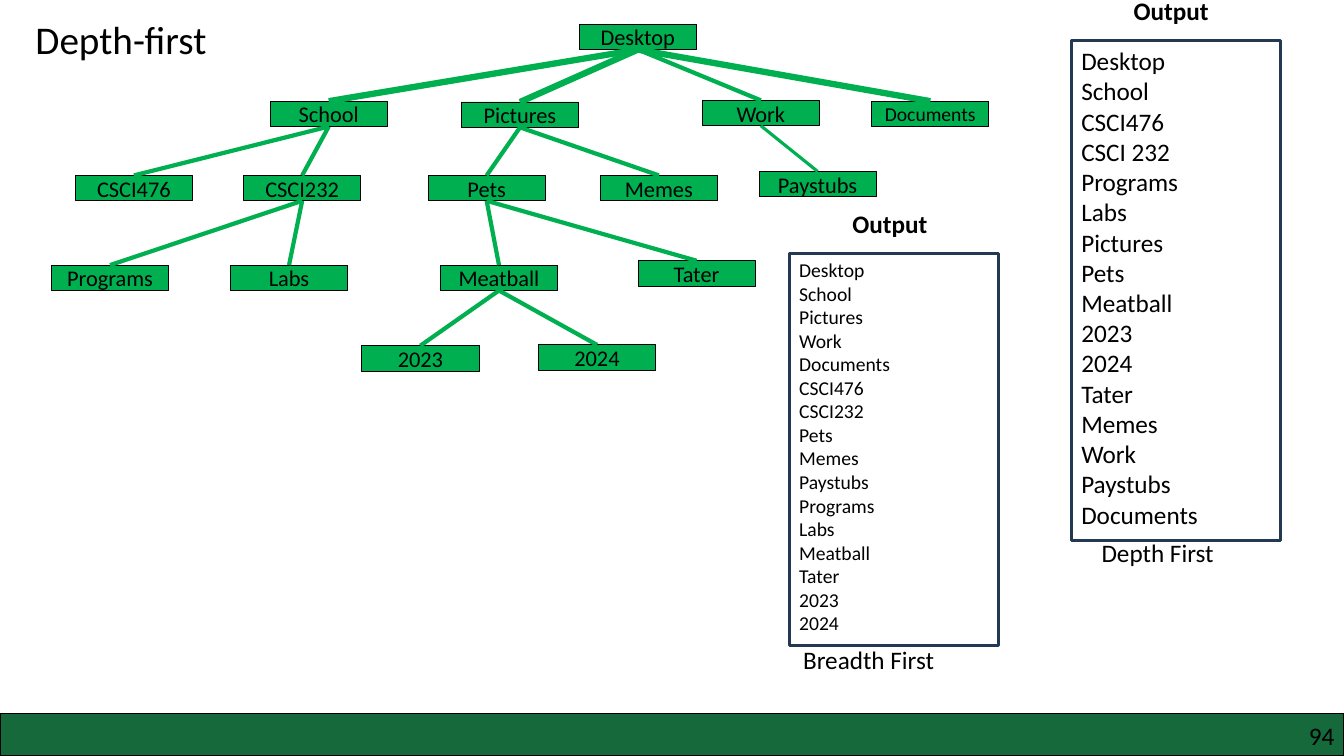
from lxml import etree
from pptx import Presentation
from pptx.dml.color import RGBColor
from pptx.enum import shapes, text
from pptx.oxml.ns import qn
from pptx.util import Cm, Pt

COLORS = {"node": "00B050", "footer": "15693B", "frame": "233953", "ink": "000000"}
TOP, BOTTOM = 0, 2  # connection sites of a rectangle

deck = Presentation()
deck.slide_width, deck.slide_height = Cm(33.87), Cm(19.05)
slide = deck.slides.add_slide(deck.slide_layouts[5])


def write(box, lines, size, align=text.PP_ALIGN.LEFT, anchor=text.MSO_ANCHOR.TOP, wrap=True, bold=False):
    frame = box.text_frame
    frame.text = "\n".join(lines)
    frame.word_wrap, frame.vertical_anchor = wrap, anchor
    for para in frame.paragraphs:
        para.alignment = align
        para.font.name, para.font.size, para.font.bold = "Calibri", Pt(size), bold
        para.font.color.rgb = RGBColor.from_string(COLORS["ink"])


def add_box(left, top, width, height, fill, line, line_width):
    box = slide.shapes.add_shape(
        shapes.MSO_SHAPE.RECTANGLE, Cm(left), Cm(top), Cm(width), Cm(height))
    box.shadow.inherit = False
    if fill:
        box.fill.solid()
        box.fill.fore_color.rgb = RGBColor.from_string(COLORS[fill])
    else:
        box.fill.background()
    box.line.color.rgb = RGBColor.from_string(COLORS[line])
    box.line.width = Pt(line_width)
    return box


# Title
title = slide.shapes.title
title.left, title.top, title.width, title.height = Cm(0.64), Cm(0.25), Cm(5.13), Cm(1.45)
write(title, ["Depth-first"], 28, wrap=False)
title.text_frame.auto_size = text.MSO_AUTO_SIZE.NONE

# Footer with page number
add_box(0, 17.98, 33.87, 1.07, "footer", "ink", 1)
number = slide.shapes.add_textbox(Cm(25.83), Cm(18.16), Cm(7.8), Cm(0.76))
write(number, ["94"], 18, align=text.PP_ALIGN.RIGHT)
frame = number.text_frame
frame.margin_left = frame.margin_right = frame.margin_top = frame.margin_bottom = 0

# Folder tree: name, left, top, parent, width of the line to the parent
folders = [
    ("Desktop", 14.6, 0.61, None, 0),
    ("School", 6.81, 2.55, "Desktop", 4.5),
    ("Pictures", 11.63, 2.57, "Desktop", 4.5),
    ("Work", 17.7, 2.53, "Desktop", 3),
    ("Documents", 21.97, 2.55, "Desktop", 4.5),
    ("CSCI476", 1.9, 4.42, "School", 3),
    ("CSCI232", 6.14, 4.42, "School", 3),
    ("Pets", 10.79, 4.42, "Pictures", 3),
    ("Memes", 15.13, 4.42, "Pictures", 3),
    ("Paystubs", 19.13, 4.32, "Work", 2.25),
    ("Programs", 1.3, 6.68, "CSCI232", 3),
    ("Labs", 5.81, 6.68, "CSCI232", 3),
    ("Meatball", 11.1, 6.68, "Pets", 3),
    ("Tater", 16.08, 6.57, "Pets", 3),
    ("2023", 9.12, 8.71, "Meatball", 3),
    ("2024", 13.57, 8.69, "Meatball", 3),
]
nodes = {}
for name, left, top, parent, line_width in folders:
    nodes[name] = add_box(left, top, 2.95, 0.64, "node", "ink", 0.5)
    write(nodes[name], [name], 14 if name == "Documents" else 16,
          align=text.PP_ALIGN.CENTER, anchor=text.MSO_ANCHOR.MIDDLE)

for name, left, top, parent, line_width in folders:
    if parent:
        branch = slide.shapes.add_connector(shapes.MSO_CONNECTOR.STRAIGHT, 0, 0, 0, 0)
        branch.begin_connect(nodes[parent], BOTTOM)
        branch.end_connect(nodes[name], TOP)
        branch.line.color.rgb = RGBColor.from_string(COLORS["node"])
        branch.line.width = Pt(line_width)
        etree.SubElement(branch._element.spPr, qn("a:effectLst"))

# Output lists
depth_order = ["Desktop", "School", "CSCI476", "CSCI 232", "Programs", "Labs", "Pictures", "Pets",
               "Meatball", "2023", "2024", "Tater", "Memes", "Work", "Paystubs", "Documents"]
breadth_order = [folder[0] for folder in folders]
for left, top, height, size, order in [
    (27, 1.02, 12.6, 18, depth_order),
    (19.89, 6.38, 9.88, 14, breadth_order),
]:
    write(add_box(left, top, 5.28, height, None, "frame", 2), order, size)

for caption, left, top, width, bold in [
    ("Output", 28.32, -0.23, 2.62, True),
    ("Depth First", 27.51, 13.41, 3.66, False),
    ("Output", 21.23, 5.13, 2.62, True),
    ("Breadth First", 19.99, 16.1, 4.19, False),
]:
    label = slide.shapes.add_textbox(Cm(left), Cm(top), Cm(width), Cm(1.02))
    write(label, [caption], 18, wrap=False, bold=bold)

deck.save("out.pptx")
